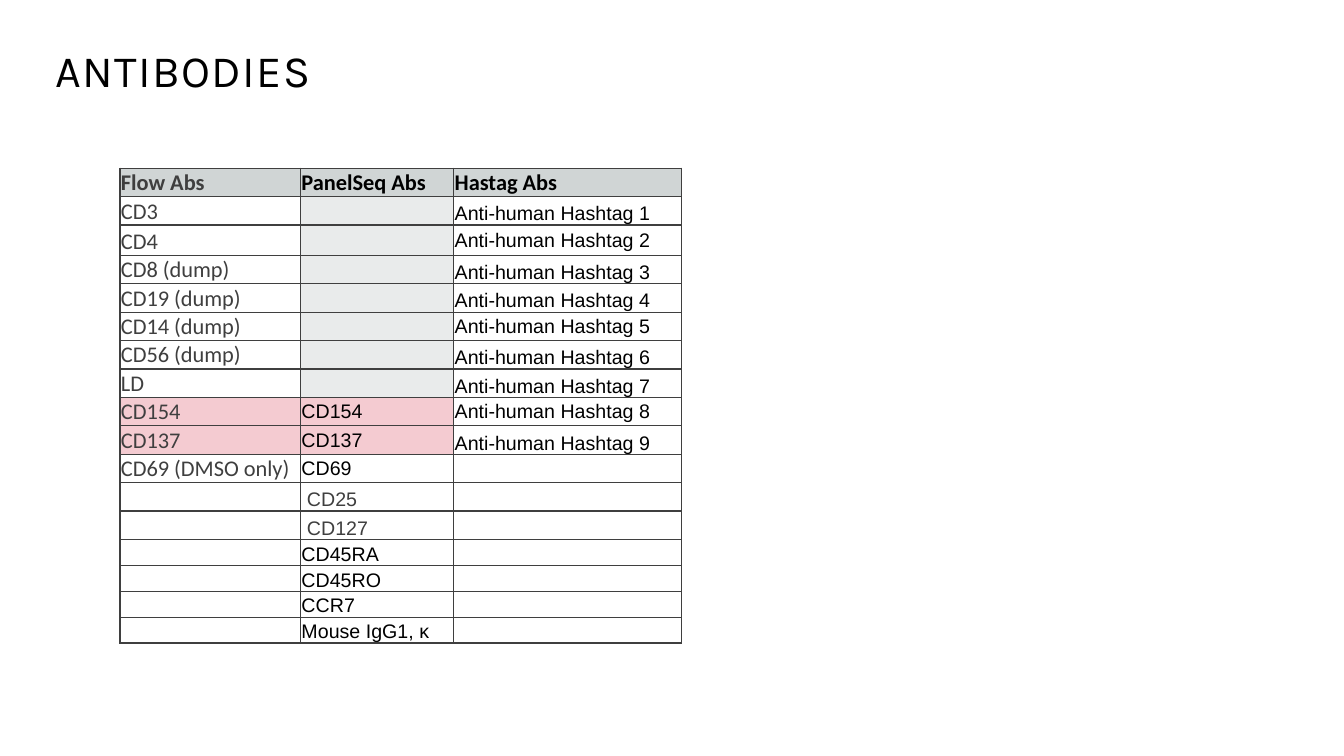
"""Build the antibodies slide with its three-column panel table."""
from lxml import etree
from pptx import Presentation
from pptx.dml.color import RGBColor
from pptx.enum.text import MSO_ANCHOR
from pptx.oxml.ns import qn
from pptx.util import Pt

MIDDLE, BOTTOM = MSO_ANCHOR.MIDDLE, MSO_ANCHOR.BOTTOM
BLACK = RGBColor(0x00, 0x00, 0x00)
GRAPHITE = RGBColor(0x3F, 0x3F, 0x3F)
WHITE = RGBColor(0xFF, 0xFF, 0xFF)
HEADER_GRAY = RGBColor(0xD0, 0xD5, 0xD5)
UNUSED_GRAY = RGBColor(0xE9, 0xEB, 0xEB)
PINK = RGBColor(0xF4, 0xCB, 0xD1)

TITLE = "ANTIBODIES"
HEADERS = ["Flow Abs", "PanelSeq Abs", "Hastag Abs"]
FLOW = ["CD3", "CD4", "CD8 (dump)", "CD19 (dump)", "CD14 (dump)", "CD56 (dump)",
        "LD", "CD154", "CD137", "CD69 (DMSO only)"]
SEQUENCING = [""] * 7 + ["CD154", "CD137", "CD69", "CD25", "CD127", "CD45RA",
                         "CD45RO", "CCR7", "Mouse IgG1, κ"]
HASHTAGS = [f"Anti-human Hashtag {number}" for number in range(1, 10)]
SHARED = {"CD154", "CD137"}
INDENTED = {"CD25", "CD127"}
CENTERED = SHARED | {"CD69"} | {f"Anti-human Hashtag {number}" for number in (2, 5, 8)}

TABLE_LEFT, TABLE_TOP = 85.7, 120.2
COLUMN_WIDTHS = [129, 109.5, 162.7]
ROW_HEIGHTS = [20.3, 20.3, 21.6] + [20.3] * 10 + [18.5] * 4
INSET, INDENT = 0.7, 4.6


def add_title(slide):
    box = slide.shapes.add_textbox(Pt(32.4), Pt(28.8), Pt(895), Pt(46.8))
    frame = box.text_frame
    frame.word_wrap = True
    frame.vertical_anchor = MIDDLE
    paragraph = frame.paragraphs[0]
    paragraph.text = TITLE
    paragraph.line_spacing = 0.9
    paragraph.font.name = "Karla"
    paragraph.font.size = Pt(32)
    paragraph.font.color.rgb = BLACK
    paragraph.runs[0]._r.get_or_add_rPr().set("spc", "100")


def set_borders(cell):
    properties = cell._tc.get_or_add_tcPr()
    for position, side in enumerate(("a:lnL", "a:lnR", "a:lnT", "a:lnB")):
        line = etree.Element(qn(side), w=str(Pt(1)))
        fill = etree.SubElement(line, qn("a:solidFill"))
        etree.SubElement(fill, qn("a:srgbClr"), val=str(GRAPHITE))
        properties.insert(position, line)


def cell_fill(row, column, text):
    if row == 0:
        return HEADER_GRAY
    if text in SHARED:
        return PINK
    return UNUSED_GRAY if column == 1 and not text else WHITE


def fill_cell(cell, row, column, text):
    is_header = row == 0
    cell.margin_left = Pt(INDENT if text in INDENTED else INSET)
    cell.margin_right = cell.margin_top = Pt(INSET)
    cell.margin_bottom = Pt(0)
    cell.vertical_anchor = MIDDLE if is_header or text in CENTERED else BOTTOM
    cell.fill.solid()
    cell.fill.fore_color.rgb = cell_fill(row, column, text)
    set_borders(cell)
    paragraph = cell.text_frame.paragraphs[0]
    font = paragraph.font
    if text:
        paragraph.text = text
    else:
        etree.SubElement(paragraph._p, qn("a:endParaRPr"), sz="1400")
    in_calibri = is_header or (column == 0 and text)
    font.name = "Calibri" if in_calibri else "Arial"
    font.size = Pt(16 if in_calibri else 14)
    font.bold = is_header
    font.color.rgb = GRAPHITE if column == 0 or text in INDENTED else BLACK


def add_antibody_table(slide):
    frame = slide.shapes.add_table(
        len(ROW_HEIGHTS), len(COLUMN_WIDTHS), Pt(TABLE_LEFT), Pt(TABLE_TOP),
        Pt(sum(COLUMN_WIDTHS)), Pt(sum(ROW_HEIGHTS)))
    table = frame.table
    table.first_row = table.horz_banding = False
    for row, height in zip(table.rows, ROW_HEIGHTS):
        row.height = Pt(height)
    for column, (names, width) in enumerate(zip((FLOW, SEQUENCING, HASHTAGS), COLUMN_WIDTHS)):
        table.columns[column].width = Pt(width)
        entries = [HEADERS[column]] + names
        entries += [""] * (len(ROW_HEIGHTS) - len(entries))
        for row, text in enumerate(entries):
            fill_cell(table.cell(row, column), row, column, text)


def main():
    presentation = Presentation()
    presentation.slide_width, presentation.slide_height = Pt(960), Pt(540)
    slide = presentation.slides.add_slide(presentation.slide_layouts[6])
    add_title(slide)
    add_antibody_table(slide)
    presentation.save("out.pptx")


if __name__ == "__main__":
    main()
